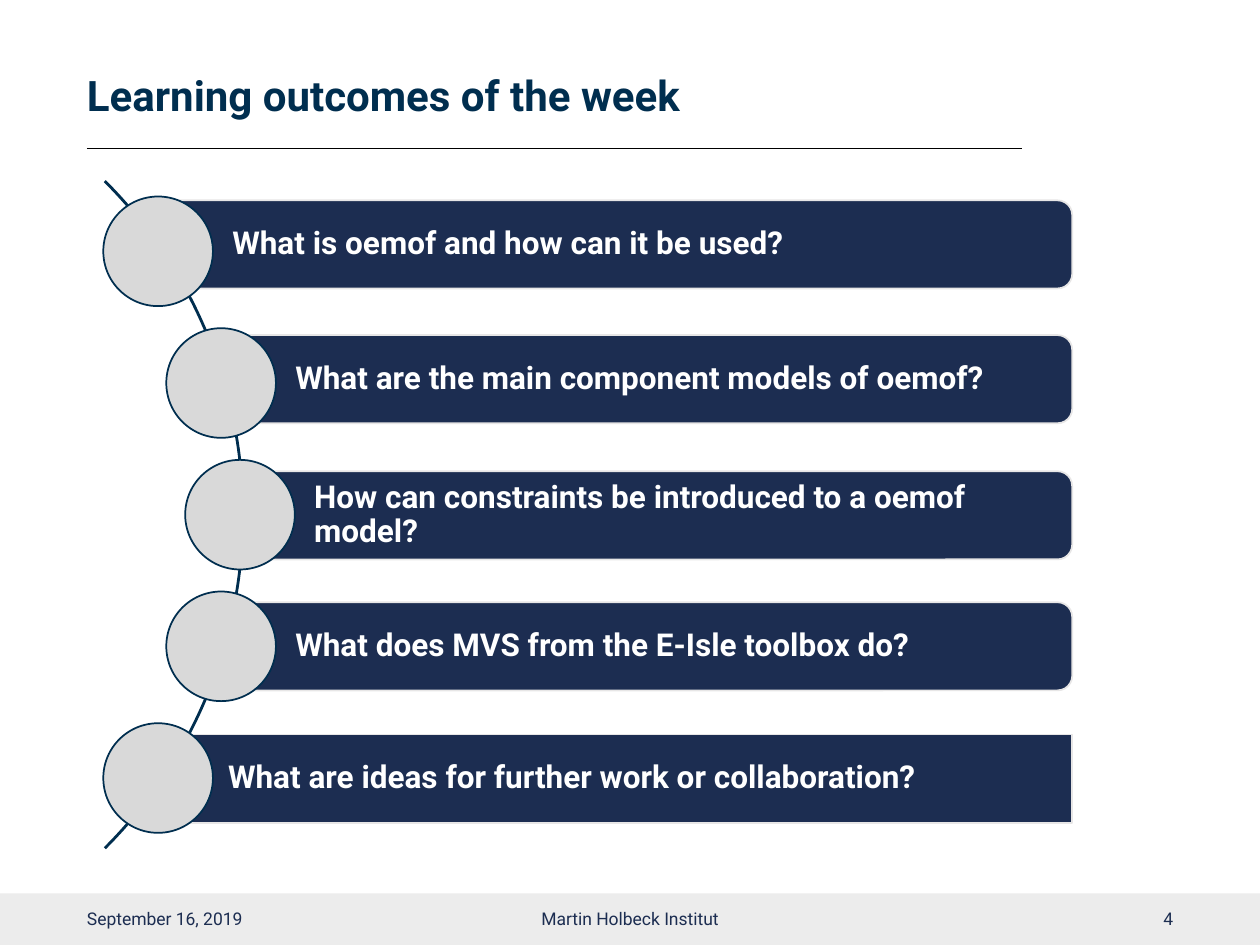
from dataclasses import dataclass

from lxml import etree
from pptx import Presentation
from pptx import util as u
from pptx.dml.color import RGBColor
from pptx.enum import shapes, text
from pptx.oxml.ns import qn


@dataclass(frozen=True)
class Theme:
    font: str = "Roboto"
    title_size: int = 24
    body_size: int = 18
    footer_size: int = 10
    title: str = "002E4F"
    navy: str = "1C2D51"
    white: str = "FFFFFF"
    black: str = "000000"
    circle: str = "D9D9D9"
    bar_edge: str = "E7E6E6"
    footer_band: str = "ECECEC"


THEME = Theme()
SHAPE = shapes.MSO_SHAPE
ALIGN = text.PP_ALIGN

CIRCLE_SIZE = 0.87
CIRCLE_TOP, CIRCLE_STEP = 1.56, 1.045
BAR_RIGHT, BAR_HEIGHT = 8.51, 0.7
CIRCLE_OFFSET = 0.44  # from a bar's left edge back to its circle

# wording, bar left, bar top, bar shape
OUTCOMES = [
    ("What is oemof and how can it be used?", 1.26, 1.59, SHAPE.ROUNDED_RECTANGLE),
    ("What are the main component models of oemof?", 1.76, 2.66, SHAPE.ROUNDED_RECTANGLE),
    ("How can constraints be introduced to a oemof model?", 1.91, 3.74, SHAPE.ROUNDED_RECTANGLE),
    ("What does MVS from the E-Isle toolbox do?", 1.76, 4.78, SHAPE.ROUNDED_RECTANGLE),
    ("What are ideas for further work or collaboration?", 1.26, 5.83, SHAPE.RECTANGLE),
]

# wording, left, width, alignment
FOOTERS = [
    ("September 16, 2019", 0.69, 2.25, ALIGN.LEFT),
    ("Martin Holbeck Institut", 3.31, 3.38, ALIGN.CENTER),
    ("4", 7.06, 2.25, ALIGN.RIGHT),
]


def inches(*lengths):
    return [u.Inches(length) for length in lengths]


def write(shape, wording, *, size, color, bold=False, align=ALIGN.LEFT,
          line_spacing=1.0, insets=(0, 0.05, 0, 0.05)):
    """Put one formatted paragraph in a shape; insets are left, top, right, bottom."""
    frame = shape.text_frame
    frame.word_wrap = True
    frame.auto_size = text.MSO_AUTO_SIZE.NONE
    frame.vertical_anchor = text.MSO_ANCHOR.MIDDLE
    (frame.margin_left, frame.margin_top,
     frame.margin_right, frame.margin_bottom) = inches(*insets)
    paragraph = frame.paragraphs[0]
    paragraph.alignment = align
    paragraph.line_spacing = line_spacing
    run = paragraph.add_run()
    run.text = wording
    run.font.name = THEME.font
    run.font.size = u.Pt(size)
    run.font.bold = bold
    run.font.color.rgb = RGBColor.from_string(color)


class SlideBuilder:
    def __init__(self, slide, theme):
        self.slide = slide
        self.theme = theme

    def title(self, wording, box):
        placeholder = self.slide.shapes.title
        (placeholder.left, placeholder.top,
         placeholder.width, placeholder.height) = inches(*box)
        write(placeholder, wording, size=self.theme.title_size,
              color=self.theme.title, bold=True, line_spacing=0.9,
              insets=(0, 0.05, 0.1, 0.05))

    def shape(self, kind, box, fill, edge=None):
        shape = self.slide.shapes.add_shape(kind, *inches(*box))
        shape.shadow.inherit = False
        shape.fill.solid()
        shape.fill.fore_color.rgb = RGBColor.from_string(fill)
        if edge:
            shape.line.color.rgb = RGBColor.from_string(edge)
            shape.line.width = u.Pt(1)
        else:
            shape.line.fill.background()
        return shape

    def rule(self, start, end):
        line = self.slide.shapes.add_connector(
            shapes.MSO_CONNECTOR.STRAIGHT, *inches(*start, *end))
        line.line.color.rgb = RGBColor.from_string(self.theme.black)
        line.line.width = u.Pt(0.5)
        etree.SubElement(line._element.spPr, qn("a:effectLst"))

    def arc(self, box, start_angle, end_angle, thickness):
        """Draw a thin arc; angles are in degrees, thickness is a share of the size."""
        arc = self.shape(SHAPE.BLOCK_ARC, box, self.theme.title)
        # Adjustments count 100000 units, angles 60000 to the degree.
        arc.adjustments[0] = start_angle * 0.6
        arc.adjustments[1] = end_angle * 0.6
        arc.adjustments[2] = thickness

    def outcome(self, index, wording, left, top, kind):
        bar = self.shape(kind, (left, top, BAR_RIGHT - left, BAR_HEIGHT),
                         self.theme.navy, self.theme.bar_edge)
        write(bar, wording, size=self.theme.body_size, color=self.theme.white,
              bold=True, line_spacing=0.9, insets=(0.55, 0.05, 0.05, 0.05))
        circle_top = CIRCLE_TOP + index * CIRCLE_STEP
        self.shape(SHAPE.OVAL,
                   (left - CIRCLE_OFFSET, circle_top, CIRCLE_SIZE, CIRCLE_SIZE),
                   self.theme.circle, self.theme.title)

    def footer(self, wording, left, width, align):
        box = self.slide.shapes.add_textbox(*inches(left, 7.09, width, 0.4))
        write(box, wording, size=self.theme.footer_size,
              color=self.theme.navy, align=align)


def main():
    presentation = Presentation()
    presentation.slide_width, presentation.slide_height = inches(10, 7.5)
    slide = presentation.slides.add_slide(presentation.slide_layouts[5])
    builder = SlideBuilder(slide, THEME)

    builder.shape(SHAPE.RECTANGLE, (0, 7.09, 10, 0.41), THEME.footer_band)
    builder.rule((0.69, 1.18), (8.11, 1.18))
    builder.title("Learning outcomes of the week", (0.69, 0.4, 8.64, 0.76))
    builder.arc((-5.57, 0.33, 7.51, 7.51), 315, 45, 0.003)
    for index, outcome in enumerate(OUTCOMES):
        builder.outcome(index, *outcome)
    for footer in FOOTERS:
        builder.footer(*footer)

    presentation.save("out.pptx")


if __name__ == "__main__":
    main()
